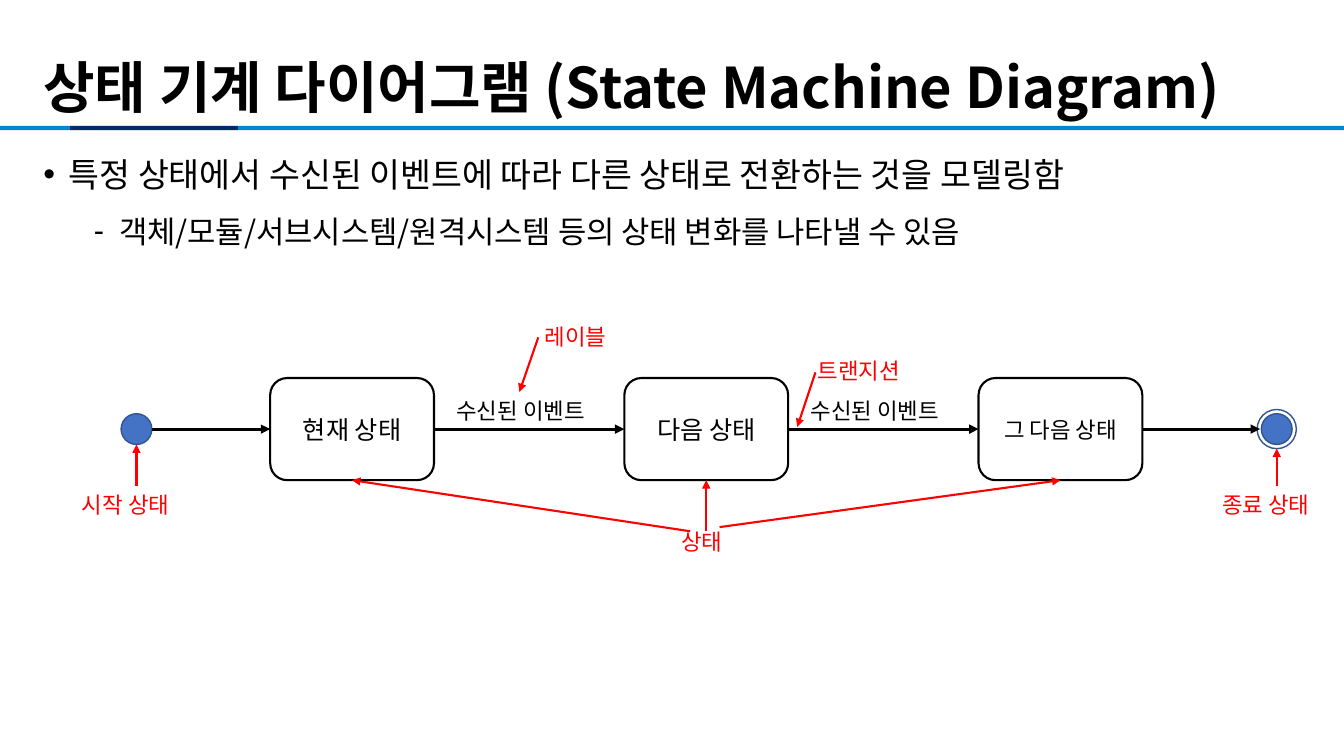
from dataclasses import dataclass

from lxml import etree
from pptx import Presentation, util as u
from pptx.dml.color import RGBColor
from pptx.enum import shapes, text
from pptx.oxml import ns

Pt = u.Pt


@dataclass(frozen=True)
class Theme:
    font: str = "Noto Sans CJK KR"
    black: str = "000000"
    red: str = "FF0000"
    navy: str = "002967"
    sky: str = "0186D1"
    dot: str = "4472C4"
    dot_edge: str = "325491"
    title: int = 40
    body: int = 24
    sub: int = 22
    state: int = 18
    label: int = 16


T = Theme()
MID_Y = 306.5
STATE_X, STATE_Y, STATE_W, STATE_H = 193, 270, 117, 73
PITCH = 253
START_X, END_X = 97.5, 912
DOT, RING = 22, 28


def sub(parent, tag, **attrs):
    return etree.SubElement(parent, ns.qn(tag), attrs)


def add_run(p, words, size, color=T.black, bold=False):
    r = p.add_run()
    r.text = words
    r.font.name, r.font.size, r.font.bold = T.font, Pt(size), bold
    r.font.color.rgb = RGBColor.from_string(color)
    sub(r.font._element, "a:ea", typeface=T.font)


def add_text(s, x, y, w, h, anchor=text.MSO_ANCHOR.TOP):
    tf = s.shapes.add_textbox(Pt(x), Pt(y), Pt(w), Pt(h)).text_frame
    tf.word_wrap = True
    tf.vertical_anchor = anchor
    return tf


def add_label(s, x, y, words, color=T.red, w=92):
    add_run(add_text(s, x, y, w, 26.6).paragraphs[0], words, T.label, color)


def add_bullet(p, mark, level, indent, words, size):
    p.level = level
    p.line_spacing = 1.3
    pPr = p._p.get_or_add_pPr()
    pPr.set("marL", str(Pt(indent)))
    pPr.set("indent", str(Pt(-18)))
    sub(pPr, "a:buFont", typeface="Arial")
    sub(pPr, "a:buChar", char=mark)
    add_run(p, words, size)


def add_shape(s, kind, x, y, w, h, fill=None, line=None, width=1):
    sp = s.shapes.add_shape(kind, Pt(x), Pt(y), Pt(w), Pt(h))
    sp.shadow.inherit = False
    if fill:
        sp.fill.solid()
        sp.fill.fore_color.rgb = RGBColor.from_string(fill)
    else:
        sp.fill.background()
    if line:
        sp.line.color.rgb = RGBColor.from_string(line)
        sp.line.width = Pt(width)
    else:
        sp.line.fill.background()
    return sp


def add_circle(s, x, d, fill=None):
    """Circle centred at x on the line of states."""
    add_shape(s, shapes.MSO_SHAPE.OVAL, x - d / 2, MID_Y - d / 2, d, d, fill, T.dot_edge)


def add_state(s, i, words, size):
    sp = add_shape(s, shapes.MSO_SHAPE.ROUNDED_RECTANGLE, STATE_X + i * PITCH,
                   STATE_Y, STATE_W, STATE_H, line=T.black, width=1.5)
    tf = sp.text_frame
    tf.vertical_anchor = text.MSO_ANCHOR.MIDDLE
    p = tf.paragraphs[0]
    p.alignment = text.PP_ALIGN.CENTER
    add_run(p, words, size)
    return sp


def add_arrow(s, start, end, color=T.red, width=1.5):
    """Arrow between two ends, each a point (x, y) or a joint (shape, side)."""
    joined = [not isinstance(e[0], (int, float)) for e in (start, end)]
    points = [(0, 0) if j else e for e, j in zip((start, end), joined)]
    c = s.shapes.add_connector(shapes.MSO_CONNECTOR.STRAIGHT,
                               *(Pt(v) for point in points for v in point))
    if joined[0]:
        c.begin_connect(*start)
    if joined[1]:
        c.end_connect(*end)
    c.line.color.rgb = RGBColor.from_string(color)
    c.line.width = Pt(width)
    sub(c.line._get_or_add_ln(), "a:tailEnd", type="triangle")
    sub(c._element.spPr, "a:effectLst")


def add_heading(s):
    for x, w, color in ((0, 50, T.sky), (50, 120, T.navy), (170, 790, T.sky)):
        add_shape(s, shapes.MSO_SHAPE.RECTANGLE, x, 90, w, 3, color)
    p = add_text(s, 24, 29, 909, 61, text.MSO_ANCHOR.BOTTOM).paragraphs[0]
    p.line_spacing = 0.9
    add_run(p, "상태 기계 다이어그램 (State Machine Diagram)", T.title, bold=True)


def add_body(s):
    tf = add_text(s, 24, 98, 909, 424)
    add_bullet(tf.paragraphs[0], "•", 0, 18,
               "특정 상태에서 수신된 이벤트에 따라 다른 상태로 전환하는 것을 모델링함", T.body)
    p = tf.add_paragraph()
    p.space_before = Pt(5)
    add_bullet(p, "-", 1, 54,
               "객체/모듈/서브시스템/원격시스템 등의 상태 변화를 나타낼 수 있음", T.sub)


def add_diagram(s):
    states = [add_state(s, i, words, size) for i, (words, size) in enumerate(
        (("현재 상태", T.state), ("다음 상태", T.state), ("그 다음 상태", T.label)))]
    add_circle(s, START_X, DOT, T.dot)
    add_circle(s, END_X, DOT, T.dot)
    add_circle(s, END_X, RING)

    stops = [(START_X + DOT / 2, MID_Y), *states, (END_X - DOT / 2 - 1, MID_Y)]
    for a, b in zip(stops, stops[1:]):
        start = a if isinstance(a, tuple) else (a, 3)
        end = b if isinstance(b, tuple) else (b, 1)
        add_arrow(s, start, end, T.black, 2.25)
    for i in range(2):
        add_label(s, 319 + i * PITCH, 280, "수신된 이벤트", T.black, 119.5)
    return states


def add_notes(s, states):
    """Red names of the parts, each with its arrows."""
    for x, d, words in ((START_X, DOT, "시작 상태"), (END_X, RING, "종료 상태")):
        add_label(s, x - 46, 347, words)
        add_arrow(s, (x, 347), (x, MID_Y + d / 2))
    add_label(s, 479.5, 373.5, "상태")
    for state, start in zip(states, ((493, 379.5), (504.5, 379.5), (514, 376.5))):
        add_arrow(s, start, (state, 2))
    add_label(s, 577, 251.5, "트랜지션")
    add_arrow(s, (582.5, 266), (569.5, 305))
    add_label(s, 382, 227, "레이블")
    add_arrow(s, (384.5, 241), (371, 280))


def main():
    prs = Presentation()
    prs.slide_width, prs.slide_height = Pt(960), Pt(540)
    s = prs.slides.add_slide(prs.slide_layouts[6])
    add_heading(s)
    add_body(s)
    add_notes(s, add_diagram(s))
    prs.save("out.pptx")


if __name__ == "__main__":
    main()
